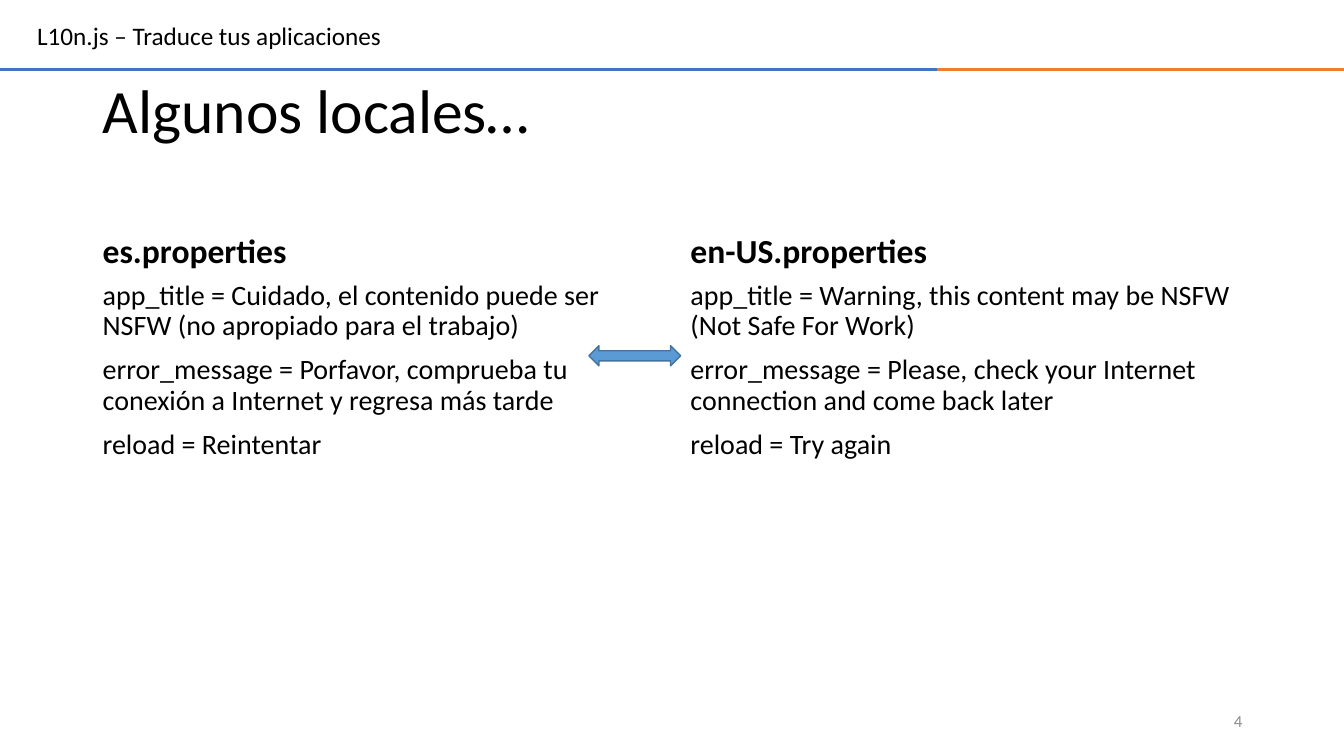
from pptx import Presentation
from pptx.dml.color import RGBColor
from pptx.enum.shapes import MSO_CONNECTOR, MSO_SHAPE
from pptx.enum.text import MSO_ANCHOR as Anchor, PP_ALIGN as Align
from pptx.oxml.ns import qn
from pptx.util import Inches, Pt
from lxml.etree import SubElement

BLACK = RGBColor(0x00, 0x00, 0x00)
GRAY = RGBColor(0x8C, 0x8C, 0x8C)
BLUE = RGBColor(0x44, 0x72, 0xC4)
ORANGE = RGBColor(0xED, 0x7D, 0x31)
ARROW_FILL = RGBColor(0x5B, 0x9B, 0xD5)
ARROW_EDGE = RGBColor(0x43, 0x73, 0x9E)

# left, width, file name, entries
LOCALES = [
    (0.92, 5.64, "es.properties", [
        "app_title = Cuidado, el contenido puede ser NSFW (no apropiado para el trabajo)",
        "error_message = Porfavor, comprueba tu conexión a Internet y regresa más tarde",
        "reload = Reintentar",
    ]),
    (6.75, 5.67, "en-US.properties", [
        "app_title = Warning, this content may be NSFW (Not Safe For Work)",
        "error_message = Please, check your Internet connection and come back later",
        "reload = Try again",
    ]),
]


class SlideBuilder:
    font = "Calibri"

    def __init__(self, slide):
        self.shapes = slide.shapes

    def text(self, box, lines, size, color=BLACK, bold=False, anchor=Anchor.TOP,
             align=Align.LEFT, spacing=1.0, before=0, wrap=True):
        frame = self.shapes.add_textbox(*map(Inches, box)).text_frame
        frame.word_wrap = wrap
        frame.vertical_anchor = anchor
        frame.text = "\n".join(lines)
        for paragraph in frame.paragraphs:
            paragraph.alignment = align
            paragraph.line_spacing = spacing
            paragraph.space_before = Pt(before)
            for run in paragraph.runs:
                run.font.name = self.font
                run.font.size = Pt(size)
                run.font.bold = bold
                run.font.color.rgb = color

    def rule(self, start, end, y, color):
        """Draw a horizontal line from start to end."""
        line = self.shapes.add_connector(
            MSO_CONNECTOR.STRAIGHT, Inches(start), Inches(y), Inches(end), Inches(y))
        line.line.color.rgb = color
        line.line.width = Pt(1.5)
        SubElement(line._element.spPr, qn("a:effectLst"))

    def double_arrow(self, box):
        arrow = self.shapes.add_shape(MSO_SHAPE.LEFT_RIGHT_ARROW, *map(Inches, box))
        arrow.shadow.inherit = False
        arrow.fill.solid()
        arrow.fill.fore_color.rgb = ARROW_FILL
        arrow.line.color.rgb = ARROW_EDGE
        arrow.line.width = Pt(1)


def main():
    prs = Presentation()
    prs.slide_width, prs.slide_height = Inches(13.33), Inches(7.5)
    page = SlideBuilder(prs.slides.add_slide(prs.slide_layouts[6]))

    page.rule(-0.01, 9.37, 0.69, BLUE)
    page.rule(9.29, 13.33, 0.69, ORANGE)
    page.text((0.92, 0.4, 11.5, 1.45), ["Algunos locales…"], 44,
              anchor=Anchor.MIDDLE, spacing=0.9)

    for left, width, file_name, entries in LOCALES:
        page.text((left, 1.84, width, 0.9), [file_name], 24, bold=True,
                  anchor=Anchor.BOTTOM, spacing=0.9, before=10)
        page.text((left, 2.74, width, 4.03), entries, 20, spacing=0.9, before=10)

    page.text((9.42, 6.95, 3, 0.4), ["4"], 12, color=GRAY,
              anchor=Anchor.MIDDLE, align=Align.RIGHT)
    page.double_arrow((5.84, 3.43, 0.91, 0.2))
    page.text((0.27, 0.15, 3.76, 0.4), ["L10n.js – Traduce tus aplicaciones"], 18,
              anchor=Anchor.BOTTOM, wrap=False)

    prs.save("out.pptx")


if __name__ == "__main__":
    main()
